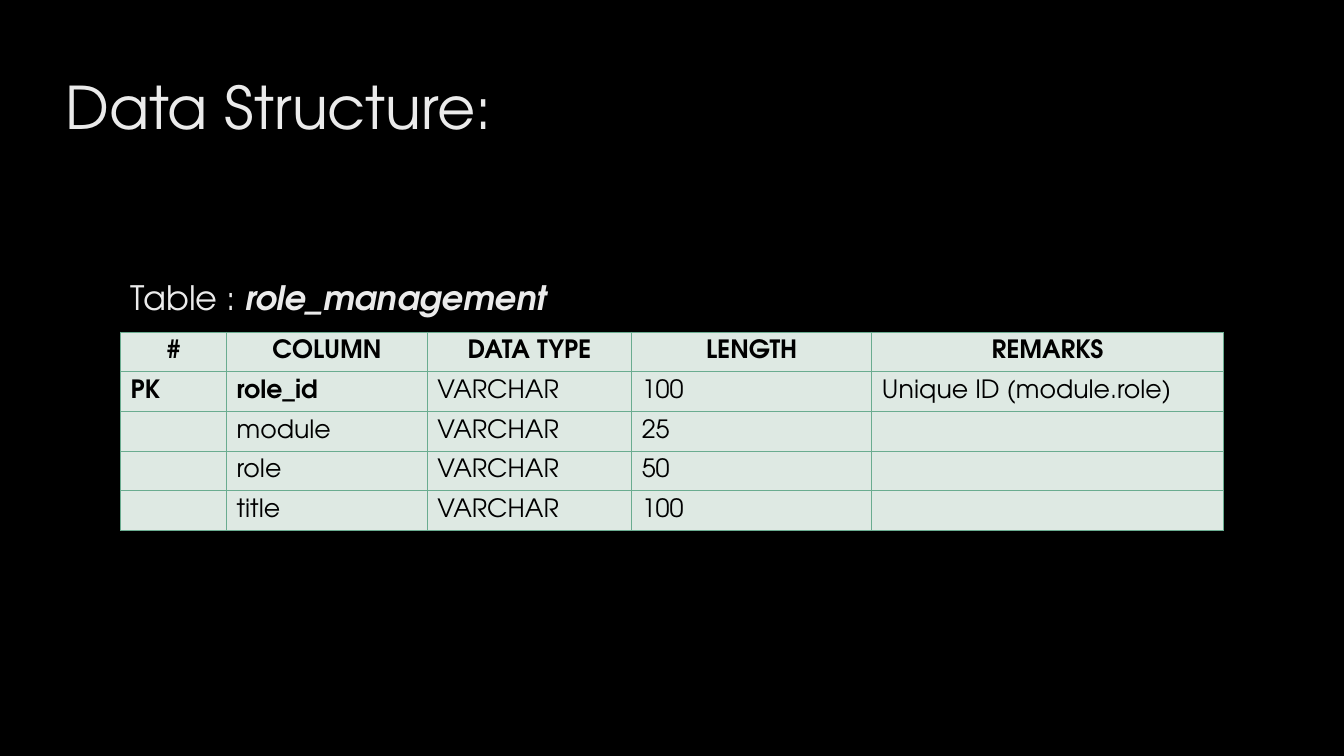
from lxml import etree
from pptx import Presentation
from pptx.dml.color import RGBColor
from pptx.enum.text import MSO_ANCHOR, PP_ALIGN
from pptx.oxml.ns import qn
from pptx.util import Cm, Pt

LEFT, CENTER = PP_ALIGN.LEFT, PP_ALIGN.CENTER
MIDDLE = MSO_ANCHOR.MIDDLE
FONT = "TeX Gyre Adventor"
COLORS = {
    "background": "000000",
    "heading": "EBEBEB",
    "cell": "DEE9E3",
    "cell_text": "000000",
    "border": "6AAC90",
}

TITLE = "Data Structure:"
CAPTION = ("Table : ", "role_management")
HEADER = ("#", "COLUMN", "DATA TYPE", "LENGTH", "REMARKS")
FIELDS = [
    ("PK", "role_id", "VARCHAR", "100", "Unique ID (module.role)"),
    ("", "module", "VARCHAR", "25", ""),
    ("", "role", "VARCHAR", "50", ""),
    ("", "title", "VARCHAR", "100", ""),
]
COLUMN_WIDTHS = (2.67, 5.06, 5.15, 6.05, 8.86)
ROW_HEIGHT = 1.0
TABLE_LEFT, TABLE_TOP = 3.04, 8.37


def add_text(paragraph, text, size=18, color="cell_text", bold=False,
             italic=False, align=LEFT):
    paragraph.alignment = align
    run = paragraph.add_run()
    run.text = text
    font = run.font
    font.name, font.size = FONT, Pt(size)
    font.bold, font.italic = bold, italic
    font.color.rgb = RGBColor.from_string(COLORS[color])


def add_text_box(slide, left, top, width, height):
    """Add a wrapping text box and return its first paragraph."""
    box = slide.shapes.add_textbox(Cm(left), Cm(top), Cm(width), Cm(height))
    box.text_frame.word_wrap = True
    return box.text_frame.paragraphs[0]


def style_cell(cell):
    cell.vertical_anchor = MIDDLE
    cell.margin_top = cell.margin_bottom = Cm(0)
    properties = cell._tc.get_or_add_tcPr()
    for side in ("a:lnL", "a:lnR", "a:lnT", "a:lnB"):
        line = etree.SubElement(properties, qn(side), w=str(Pt(0.75)))
        fill = etree.SubElement(line, qn("a:solidFill"))
        etree.SubElement(fill, qn("a:srgbClr"), val=COLORS["border"])
    cell.fill.solid()
    cell.fill.fore_color.rgb = RGBColor.from_string(COLORS["cell"])


def add_field_table(slide):
    rows = [HEADER, *FIELDS]
    table = slide.shapes.add_table(
        len(rows), len(HEADER), Cm(TABLE_LEFT), Cm(TABLE_TOP),
        Cm(sum(COLUMN_WIDTHS)), Cm(ROW_HEIGHT * len(rows))).table
    table.horz_banding = False
    for column, width in zip(table.columns, COLUMN_WIDTHS):
        column.width = Cm(width)
    for row_index, texts in enumerate(rows):
        is_header = row_index == 0
        is_key = texts[0] == "PK"
        table.rows[row_index].height = Cm(ROW_HEIGHT)
        for column_index, text in enumerate(texts):
            cell = table.cell(row_index, column_index)
            style_cell(cell)
            if text:
                add_text(cell.text_frame.paragraphs[0], text,
                         bold=is_header or (is_key and column_index < 2),
                         align=CENTER if is_header else LEFT)


def main():
    presentation = Presentation()
    presentation.slide_width, presentation.slide_height = Cm(33.87), Cm(19.05)
    slide = presentation.slides.add_slide(presentation.slide_layouts[6])
    background = slide.background.fill
    background.solid()
    background.fore_color.rgb = RGBColor.from_string(COLORS["background"])

    title = add_text_box(slide, 1.4, 1.65, 26.14, 2.49)
    add_text(title, TITLE, size=42, color="heading")

    add_field_table(slide)

    caption = add_text_box(slide, TABLE_LEFT, 6.86, 26.14, 1.52)
    label, table_name = CAPTION
    add_text(caption, label, size=24, color="heading")
    add_text(caption, table_name, size=24, color="heading", bold=True, italic=True)

    presentation.save("out.pptx")


if __name__ == "__main__":
    main()
